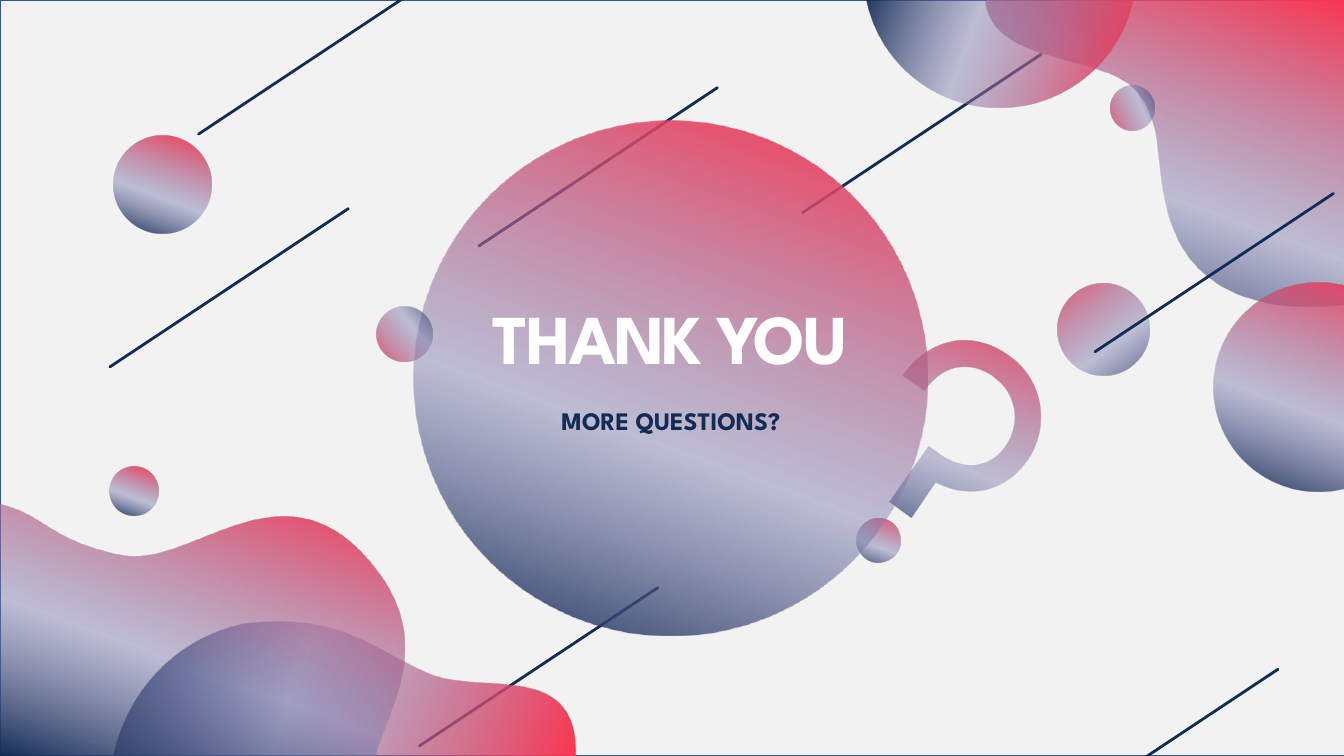
from math import cos, radians, sin

from lxml.etree import SubElement
from pptx import Presentation
from pptx.dml.color import RGBColor
from pptx.enum.shapes import MSO_CONNECTOR, MSO_SHAPE
from pptx.enum.text import MSO_AUTO_SIZE, PP_ALIGN
from pptx.oxml import parse_xml
from pptx.oxml.ns import nsdecls, qn
from pptx.util import Inches, Pt

NAVY = RGBColor(0x13, 0x2C, 0x54)
RED = RGBColor(0xFF, 0x33, 0x4E)
LAVENDER = RGBColor(0x7B, 0x7B, 0xAD)
PALE = RGBColor(0xF2, 0xF2, 0xF2)
BORDER = RGBColor(0x32, 0x54, 0x91)
WHITE = RGBColor(0xFF, 0xFF, 0xFF)
FONT = "League Spartan"


def paint_gradient(shape, turns_along):
    shape.shadow.inherit = False
    shape.line.fill.background()
    shape.fill.background()
    empty_fill = shape._element.spPr.find(qn("a:noFill"))
    gradient = parse_xml(
        f'<a:gradFill {nsdecls("a")} rotWithShape="{turns_along}"><a:gsLst>'
        f'<a:gs pos="0"><a:srgbClr val="{RED}"/></a:gs>'
        f'<a:gs pos="60000"><a:srgbClr val="{LAVENDER}"><a:alpha val="44000"/></a:srgbClr></a:gs>'
        f'<a:gs pos="100000"><a:srgbClr val="{NAVY}"/></a:gs></a:gsLst>'
        f'<a:lin ang="{110 * 60000}" scaled="0"/></a:gradFill>')
    shape._element.spPr.replace(empty_fill, gradient)


def draw_streaks(page, starts):
    for x, y in starts:
        streak = page.shapes.add_connector(
            MSO_CONNECTOR.STRAIGHT, Inches(x), Inches(y), Inches(x + 2.365), Inches(y - 1.57))
        streak.line.color.rgb = NAVY
        streak.line.width = Pt(2)
        streak.line._ln.set("cap", "rnd")
        SubElement(streak._element.spPr, qn("a:effectLst"))


deck = Presentation()
deck.slide_width = Inches(13.33)
deck.slide_height = Inches(7.5)
page = deck.slides.add_slide(deck.slide_layouts[6])

backdrop = page.shapes.add_shape(MSO_SHAPE.RECTANGLE, 0, 0, Inches(13.52), Inches(7.5))
backdrop.shadow.inherit = False
backdrop.fill.solid()
backdrop.fill.fore_color.rgb = PALE
backdrop.line.color.rgb = BORDER
backdrop.line.width = Pt(1)

draw_streaks(page, [(4.75, 2.44), (7.96, 2.11), (4.16, 7.4)])

dot = ((8.5, 5.14, 0.43, 0.43), 73.6, 0, [
    (8.77, 5.57), (8.66, 5.61, 8.54, 5.54, 8.5, 5.42),
    (8.47, 5.31, 8.53, 5.19, 8.65, 5.15), (8.77, 5.12, 8.89, 5.18, 8.92, 5.3),
    (8.96, 5.42, 8.89, 5.54, 8.77, 5.57)])
hook = ((8.72, 3.36, 1.49, 1.86), 35.1, 0, [
    (9.28, 4.78), (9.04, 5.13), (8.82, 4.97), (9.21, 4.42), (9.32, 4.5),
    (9.56, 4.67, 9.82, 4.64, 9.97, 4.42), (10.12, 4.21, 10.08, 3.91, 9.87, 3.76),
    (9.86, 3.75, 9.86, 3.75, 9.85, 3.74), (9.6, 3.57, 9.34, 3.63, 9.17, 3.88),
    (8.95, 3.73), (9.21, 3.36, 9.64, 3.27, 10, 3.53),
    (10.34, 3.76, 10.42, 4.22, 10.19, 4.56), (10.19, 4.56, 10.19, 4.56, 10.18, 4.57),
    (9.97, 4.87, 9.61, 4.95, 9.28, 4.78)])
top_right_blob = ((9.78, -0.01, 3.6, 3.05), 0, 1, [
    (9.78, -0.01), (9.82, 0.67, 10.96, 0.52, 11.28, 0.92),
    (11.59, 1.31, 11.41, 1.76, 11.66, 2.33), (11.92, 2.91, 12.56, 3.12, 13.38, 3.01),
    (13.38, -0.01), (9.78, -0.01)])
bottom_wave = ((2.69, 4.59, 1.44, 4.6), 90, 1, [
    (5.7, 7.59), (5.79, 6.51, 4.8, 6.91, 4.25, 6.68),
    (3.71, 6.45, 3.37, 6.07, 2.42, 6.19), (1.59, 6.37, 1.18, 7.06, 1.11, 7.61),
    (5.7, 7.59)])
top_bowl = ((9.28, -0.89, 1.26, 2.67), 90, 1, [
    (11.25, -0.18), (11.23, 0), (11.11, 0.61, 10.56, 1.07, 9.91, 1.07),
    (9.26, 1.07, 8.72, 0.61, 8.6, 0), (8.58, -0.18)])
bottom_left_blob = ((0, 5.01, 4.01, 2.49), 0, 1, [
    (0, 5.01), (0, 7.51), (3.71, 7.5), (3.84, 7.02, 4.24, 6.5, 3.83, 5.8),
    (2.9, 4.39, 1.93, 5.66, 1.2, 5.51), (0.47, 5.36, 0.45, 5.11, 0, 5.01)])

for frame, turn, turns_along, steps in [
        dot, hook, top_right_blob, bottom_wave, top_bowl, bottom_left_blob]:
    left, top, width, height = frame
    builder = page.shapes.build_freeform(Inches(left), Inches(top))
    builder.add_line_segments([
        (Inches(left + width), Inches(top)),
        (Inches(left + width), Inches(top + height)),
        (Inches(left), Inches(top + height))])
    blob = builder.convert_to_shape()
    outline = next(blob._element.iter(qn("a:path")))
    for segment in list(outline):
        outline.remove(segment)
    cosine, sine = cos(radians(turn)), sin(radians(turn))
    for index, step in enumerate(steps):
        kind = "a:moveTo" if index == 0 else "a:lnTo" if len(step) == 2 else "a:cubicBezTo"
        segment = SubElement(outline, qn(kind))
        for x, y in zip(step[::2], step[1::2]):
            across, down = x - left - width / 2, y - top - height / 2
            point = SubElement(segment, qn("a:pt"))
            point.set("x", str(Inches(width / 2 + across * cosine + down * sine)))
            point.set("y", str(Inches(height / 2 - across * sine + down * cosine)))
    SubElement(outline, qn("a:close"))
    blob.rotation = turn
    paint_gradient(blob, turns_along)

bubbles = [
    (1.09, 4.63, 0.48, 0),
    (4.1, 1.2, 5.1, 0),
    (3.74, 3.04, 0.55, 210.7),
    (12.04, 2.8, 2.08, 0),
    (11.01, 0.85, 0.44, 224.8),
    (1.13, 1.35, 0.97, 0),
    (10.49, 2.81, 0.91, 303.8),
]
for left, top, size, turn in bubbles:
    bubble = page.shapes.add_shape(
        MSO_SHAPE.OVAL, Inches(left), Inches(top), Inches(size), Inches(size))
    bubble.rotation = turn
    paint_gradient(bubble, 1)

draw_streaks(page, [(1.09, 3.64), (1.97, 1.33), (10.31, 8.21), (10.86, 3.49)])

captions = [
    ("THANK YOU", 4.44, 3.03, 4.42, 0.77, 50, WHITE, PP_ALIGN.CENTER, -150),
    ("MORE QUESTIONS?", 5.47, 4.03, 3.22, 0.34, 18, NAVY, PP_ALIGN.LEFT, 0),
]
for words, left, top, width, height, size, color, alignment, tracking in captions:
    box = page.shapes.add_textbox(Inches(left), Inches(top), Inches(width), Inches(height))
    box.text_frame.word_wrap = True
    box.text_frame.auto_size = MSO_AUTO_SIZE.SHAPE_TO_FIT_TEXT
    para = box.text_frame.paragraphs[0]
    para.alignment = alignment
    para.line_spacing = 0.8
    span = para.add_run()
    span.text = words
    span.font.name = FONT
    span.font.size = Pt(size)
    span.font.bold = True
    span.font.color.rgb = color
    span.font._element.set("spc", str(tracking))

deck.save("out.pptx")
